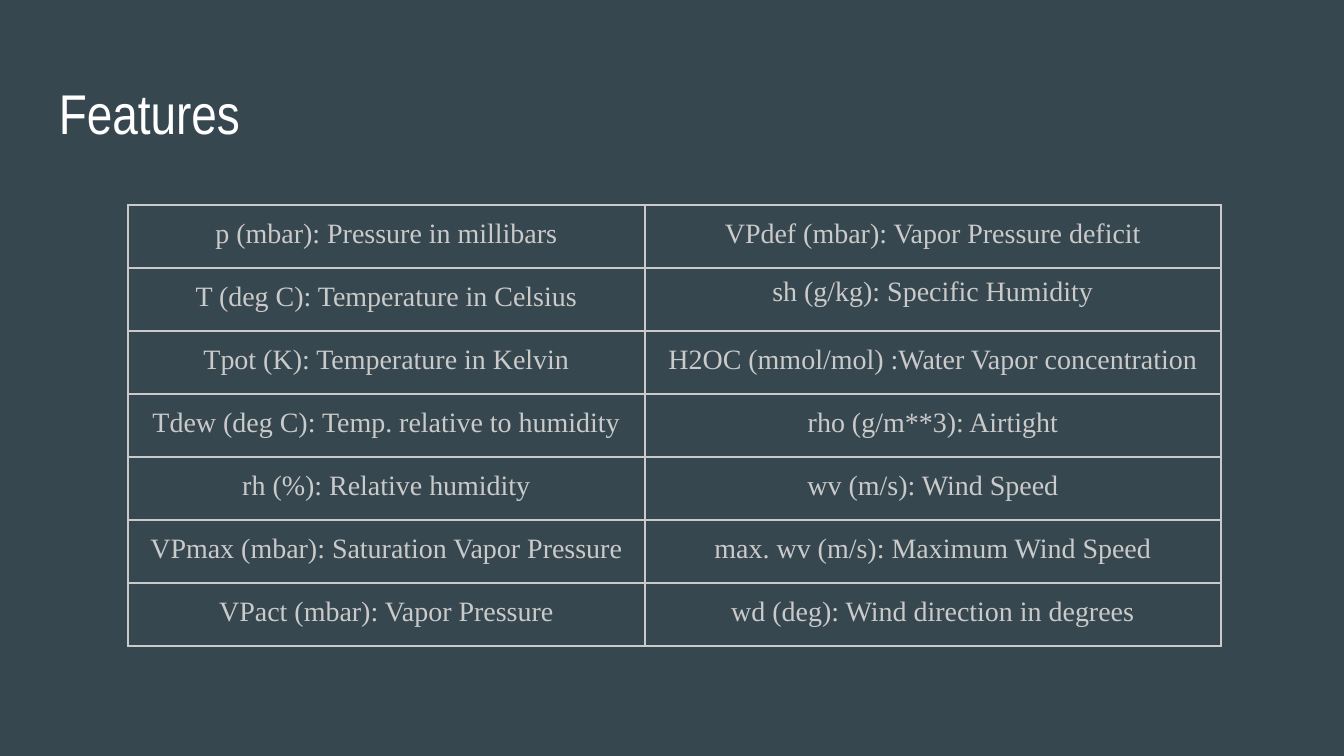
from lxml import etree
from pptx import Presentation
from pptx import util as u
from pptx.dml.color import RGBColor
from pptx.enum import text
from pptx.oxml.ns import qn

# Content
TITLE = "Features"
ROWS = [
    ("p (mbar): Pressure in millibars", "VPdef (mbar): Vapor Pressure deficit"),
    ("T (deg C): Temperature in Celsius", "sh (g/kg): Specific Humidity"),
    ("Tpot (K): Temperature in Kelvin", "H2OC (mmol/mol) :Water Vapor concentration"),
    ("Tdew (deg C): Temp. relative to humidity", "rho (g/m**3): Airtight"),
    ("rh (%): Relative humidity", "wv (m/s): Wind Speed"),
    ("VPmax (mbar): Saturation Vapor Pressure", "max. wv (m/s): Maximum Wind Speed"),
    ("VPact (mbar): Vapor Pressure", "wd (deg): Wind direction in degrees"),
]
SINGLE = {(1, 1)}  # cells with single line spacing
COLS = [517, 576]
ROW = 63
BACK, WHITE, GREY = "37474F", "FFFFFF", "CACACA"


def px(n):
    return u.Emu(round(n * 914400 / 134.4))


def rgb(code):
    return RGBColor.from_string(code)


def write(para, words, size, face, color):
    run = para.add_run()
    run.text = words
    run.font.size = u.Pt(size)
    run.font.name = face
    run.font.color.rgb = rgb(color)


def inset(box, gap):
    box.margin_left = box.margin_right = px(gap)
    box.margin_top = box.margin_bottom = px(gap)


def border(cell, color):
    props = cell._tc.get_or_add_tcPr()
    for i, side in enumerate(("lnL", "lnR", "lnT", "lnB")):
        line = etree.Element(qn("a:" + side), w=str(u.Pt(1)))
        fill = etree.SubElement(line, qn("a:solidFill"))
        etree.SubElement(fill, qn("a:srgbClr"), val=color)
        props.insert(i, line)


# Slide
deck = Presentation()
deck.slide_width, deck.slide_height = px(1344), px(756)
slide = deck.slides.add_slide(deck.slide_layouts[6])
slide.background.fill.solid()
slide.background.fill.fore_color.rgb = rgb(BACK)

# Title
frame = slide.shapes.add_textbox(px(46), px(66), px(1253), px(85)).text_frame
frame.word_wrap = True
inset(frame, 13)
write(frame.paragraphs[0], TITLE, 30, "Arial Narrow", WHITE)

# Feature table
table = slide.shapes.add_table(len(ROWS), len(COLS), px(128), px(205),
                               px(sum(COLS)), px(ROW * len(ROWS))).table
table.first_row = table.horz_banding = False
for col, width in zip(table.columns, COLS):
    col.width = px(width)
for r, row in enumerate(ROWS):
    table.rows[r].height = px(ROW)
    for c, words in enumerate(row):
        cell = table.cell(r, c)
        cell.fill.background()
        border(cell, GREY)
        inset(cell, 9)
        para = cell.text_frame.paragraphs[0]
        para.alignment = text.PP_ALIGN.CENTER
        para.line_spacing = 1.0 if (r, c) in SINGLE else 1.15
        write(para, words, 15, "Times New Roman", GREY)

deck.save("out.pptx")
